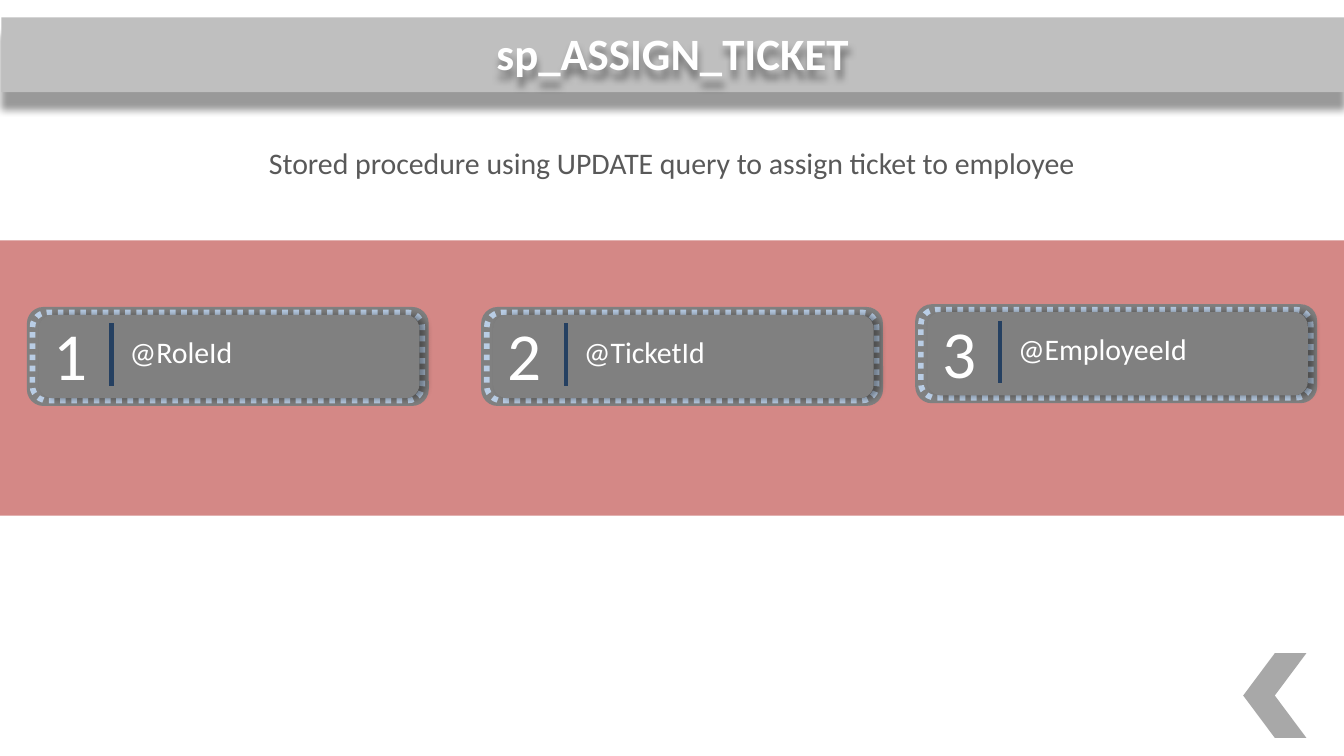
from pptx import Presentation
from pptx.dml.color import RGBColor
from pptx.enum.dml import MSO_LINE
from pptx.enum.shapes import MSO_CONNECTOR, MSO_SHAPE
from pptx.enum.text import MSO_ANCHOR, MSO_AUTO_SIZE, PP_ALIGN
from pptx.oxml.ns import qn
from pptx.util import Inches, Pt
from lxml.etree import SubElement

WIDTH = Inches(10)
HEIGHT = WIDTH * 9 // 16
GREY, WHITE, NAVY, PALE_BLUE = "808080", "FFFFFF", "254061", "B9CDE5"


def within(box, x, y, w, h):
    left, top, width, height = box
    return (round(left + width * x / 100), round(top + height * y / 100),
            round(width * w / 100), round(height * h / 100))


def paint(fmt, colour, alpha=None):
    fmt.solid()
    fmt.fore_color.rgb = RGBColor.from_string(colour)
    if alpha is not None:
        clr = fmt._xPr.find(".//" + qn("a:srgbClr"))
        SubElement(clr, qn("a:alpha"), val=str(alpha * 1000))


def add_shadow(sp, dist, angle, blur=4):
    sp.shadow.inherit = False
    effects = sp.element.spPr.find(qn("a:effectLst"))
    shadow = SubElement(effects, qn("a:outerShdw"), blurRad=str(Pt(blur)),
                        dist=str(Pt(dist)), dir=str(angle * 60000),
                        algn="t", rotWithShape="0")
    clr = SubElement(shadow, qn("a:srgbClr"), val="000000")
    SubElement(clr, qn("a:alpha"), val="40000")


def add_block(slide, kind, box, colour, alpha=None):
    sp = slide.shapes.add_shape(kind, *box)
    sp.shadow.inherit = False
    paint(sp.fill, colour, alpha)
    sp.line.fill.background()
    return sp


def write(sp, text, size, colour=WHITE, bold=False, align=PP_ALIGN.CENTER,
          anchor=MSO_ANCHOR.TOP):
    tf = sp.text_frame
    tf.word_wrap = True
    tf.auto_size = MSO_AUTO_SIZE.NONE
    tf.vertical_anchor = anchor
    p = tf.paragraphs[0]
    p.alignment = align
    p.space_before = Pt(0)
    r = p.add_run()
    r.text = text
    r.font.name, r.font.size, r.font.bold = "Calibri", Pt(size), bold
    r.font.color.rgb = RGBColor.from_string(colour)


def move(sp, box):
    sp.left, sp.top, sp.width, sp.height = box


def add_header(slide, box, text):
    bar = add_block(slide, MSO_SHAPE.RECTANGLE, box, "BFBFBF")
    add_shadow(bar, 9, 90)
    title = slide.shapes.title
    move(title, within(box, 0, 4, 100, 86))
    write(title, text, 24, bold=True, anchor=MSO_ANCHOR.MIDDLE)
    add_shadow(title, 4, 90)
    bar.element.addnext(title.element)


def add_subtitle(slide, box, text):
    sp = slide.placeholders[1]
    move(sp, box)
    write(sp, text, 16, "595959")


def add_card(slide, box, number, label):
    add_block(slide, MSO_SHAPE.ROUNDED_RECTANGLE, box, GREY)
    frame = add_block(slide, MSO_SHAPE.ROUNDED_RECTANGLE,
                      within(box, 1.4, 5.5, 97, 89), GREY)
    paint(frame.line.fill, PALE_BLUE)
    frame.line.width = Pt(3)
    frame.line.dash_style = MSO_LINE.ROUND_DOT
    face = add_block(slide, MSO_SHAPE.ROUNDED_RECTANGLE,
                     within(box, 3, 8, 94.7, 84), GREY)
    add_shadow(face, 3, 0)

    write(slide.shapes.add_textbox(*within(box, 0.2, 0, 21.4, 96)), number, 36)
    x, y, _, h = within(box, 21.1, 16.5, 0, 63.5)
    rule = slide.shapes.add_connector(MSO_CONNECTOR.STRAIGHT, x, y, x, y + h)
    paint(rule.line.fill, NAVY)
    rule.line.width = Pt(2.5)
    SubElement(rule.element.spPr, qn("a:effectLst"))
    write(slide.shapes.add_textbox(*within(box, 22.3, 20, 78, 50)),
          label, 16, align=PP_ALIGN.LEFT)


def add_parameters(slide, box, cards):
    add_block(slide, MSO_SHAPE.RECTANGLE, box, "C0504D", 68)
    for number, (x, y, label) in enumerate(cards, 1):
        add_card(slide, within(box, x, y, 29.9, 36), str(number), label)


def add_back_arrow(slide, box):
    arrow = add_block(slide, MSO_SHAPE.CHEVRON, box, GREY, 68)
    arrow.rotation = 180


def main():
    prs = Presentation()
    prs.slide_width, prs.slide_height = WIDTH, HEIGHT
    slide = prs.slides.add_slide(prs.slide_layouts[0])
    page = (0, 0, WIDTH, HEIGHT)
    add_parameters(slide, within(page, 0, 31.8, 100, 36.4), [
        (2, 24.2, "@RoleId"),
        (35.8, 24.2, "@TicketId"),
        (68.1, 23.2, "@EmployeeId"),
    ])
    add_header(slide, within(page, 0.1, 2.3, 99.9, 9.9), "sp_ASSIGN_TICKET")
    add_subtitle(slide, within(page, 0, 18.2, 100, 6.6),
                 "Stored procedure using UPDATE query to assign ticket to employee")
    add_back_arrow(slide, within(page, 92.5, 86.4, 4.7, 11.2))
    prs.save("out.pptx")


if __name__ == "__main__":
    main()
